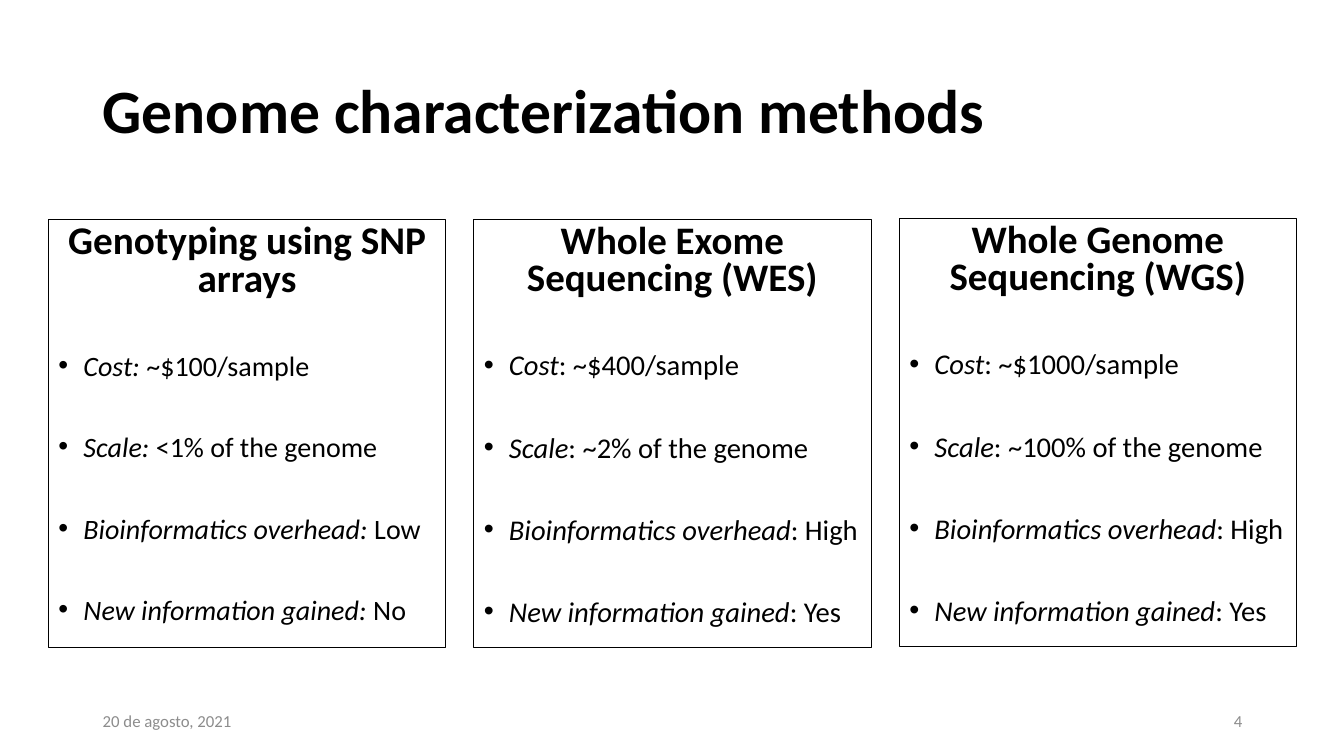
from lxml.etree import SubElement
from pptx import Presentation
from pptx.dml.color import RGBColor
from pptx.enum.shapes import MSO_SHAPE
from pptx.enum.text import MSO_ANCHOR, PP_ALIGN
from pptx.oxml.ns import qn
from pptx.util import Inches, Pt

TITLE = "Genome characterization methods"
DATE = "20 de agosto, 2021"
SLIDE_NUMBER = "4"
METHODS = [
    {"heading": "Genotyping using SNP arrays", "top": 2.18, "heading_size": 28, "size": 20,
     "facts": [("Cost: ", "~$100/sample"), ("Scale: ", "<1% of the genome"),
               ("Bioinformatics overhead: ", "Low"), ("New information gained: ", "No")]},
    {"heading": "Whole Exome Sequencing (WES)", "top": 2.18, "heading_size": 27.8, "size": 20.4,
     "facts": [("Cost", ": ~$400/sample"), ("Scale", ": ~2% of the genome"),
               ("Bioinformatics overhead", ": High"), ("New information gained", ": Yes")]},
    {"heading": "Whole Genome Sequencing (WGS)", "top": 2.17, "heading_size": 27.8, "size": 20.4,
     "facts": [("Cost", ": ~$1000/sample"), ("Scale", ": ~100% of the genome"),
               ("Bioinformatics overhead", ": High"), ("New information gained", ": Yes")]},
]
COLORS = {"text": "000000", "border": "000000", "footer": "8C8C8C"}
FONT = "Calibri"
CARD_LEFT, CARD_PITCH, CARD_WIDTH, CARD_HEIGHT = 0.48, 4.22, 3.94, 4.24
FOOTER_TOP, FOOTER_WIDTH, FOOTER_HEIGHT = 6.95, 3, 0.4
FACT_GAP = 39


def format_run(run, size, color, bold=False, italic=False):
    """Apply the slide font to a run."""
    run.font.name = FONT
    run.font.size = Pt(size)
    run.font.bold = bold
    run.font.italic = italic
    run.font.color.rgb = RGBColor.from_string(COLORS[color])


def add_label(slide, text, box, size, color, bold=False, align=PP_ALIGN.LEFT, line_spacing=1.0):
    """Add a vertically centred line of text."""
    shape = slide.shapes.add_textbox(*map(Inches, box))
    shape.text_frame.word_wrap = True
    shape.text_frame.vertical_anchor = MSO_ANCHOR.MIDDLE
    paragraph = shape.text_frame.paragraphs[0]
    paragraph.text = text
    paragraph.alignment = align
    paragraph.line_spacing = line_spacing
    format_run(paragraph.runs[0], size, color, bold)


def add_bullet(paragraph):
    """Give a paragraph a hanging bullet."""
    properties = paragraph._p.get_or_add_pPr()
    properties.set("marL", str(Inches(0.25)))
    properties.set("indent", str(-Inches(0.25)))
    SubElement(properties, qn("a:buFont"), typeface="Arial")
    SubElement(properties, qn("a:buChar"), char="•")


def add_method(slide, left, method):
    """Add a bordered card with a heading and bulleted facts."""
    card = slide.shapes.add_shape(
        MSO_SHAPE.RECTANGLE, Inches(left), Inches(method["top"]),
        Inches(CARD_WIDTH), Inches(CARD_HEIGHT))
    card.shadow.inherit = False
    card.fill.background()
    card.line.color.rgb = RGBColor.from_string(COLORS["border"])
    card.line.width = Pt(0.75)
    frame = card.text_frame
    frame.word_wrap = True
    frame.vertical_anchor = MSO_ANCHOR.TOP
    heading = frame.paragraphs[0]
    heading.text = method["heading"]
    heading.alignment = PP_ALIGN.CENTER
    heading.line_spacing = 0.8
    heading.space_before = Pt(10)
    format_run(heading.runs[0], method["heading_size"], "text", bold=True)
    for label, value in method["facts"]:
        paragraph = frame.add_paragraph()
        paragraph.alignment = PP_ALIGN.LEFT
        paragraph.line_spacing = 0.8
        paragraph.space_before = Pt(FACT_GAP)
        add_bullet(paragraph)
        for text, italic in ((label, True), (value, False)):
            run = paragraph.add_run()
            run.text = text
            format_run(run, method["size"], "text", italic=italic)


def main():
    """Build and save the slide."""
    presentation = Presentation()
    presentation.slide_width = Inches(13.33)
    presentation.slide_height = Inches(7.5)
    slide = presentation.slides.add_slide(presentation.slide_layouts[6])
    add_label(slide, TITLE, (0.92, 0.4, 11.5, 1.45), 44, "text", bold=True, line_spacing=0.9)
    for index, method in enumerate(METHODS):
        add_method(slide, CARD_LEFT + index * CARD_PITCH, method)
    for text, left, align in ((DATE, 0.92, PP_ALIGN.LEFT), (SLIDE_NUMBER, 9.42, PP_ALIGN.RIGHT)):
        add_label(slide, text, (left, FOOTER_TOP, FOOTER_WIDTH, FOOTER_HEIGHT), 12, "footer", align=align)
    presentation.save("out.pptx")


if __name__ == "__main__":
    main()
